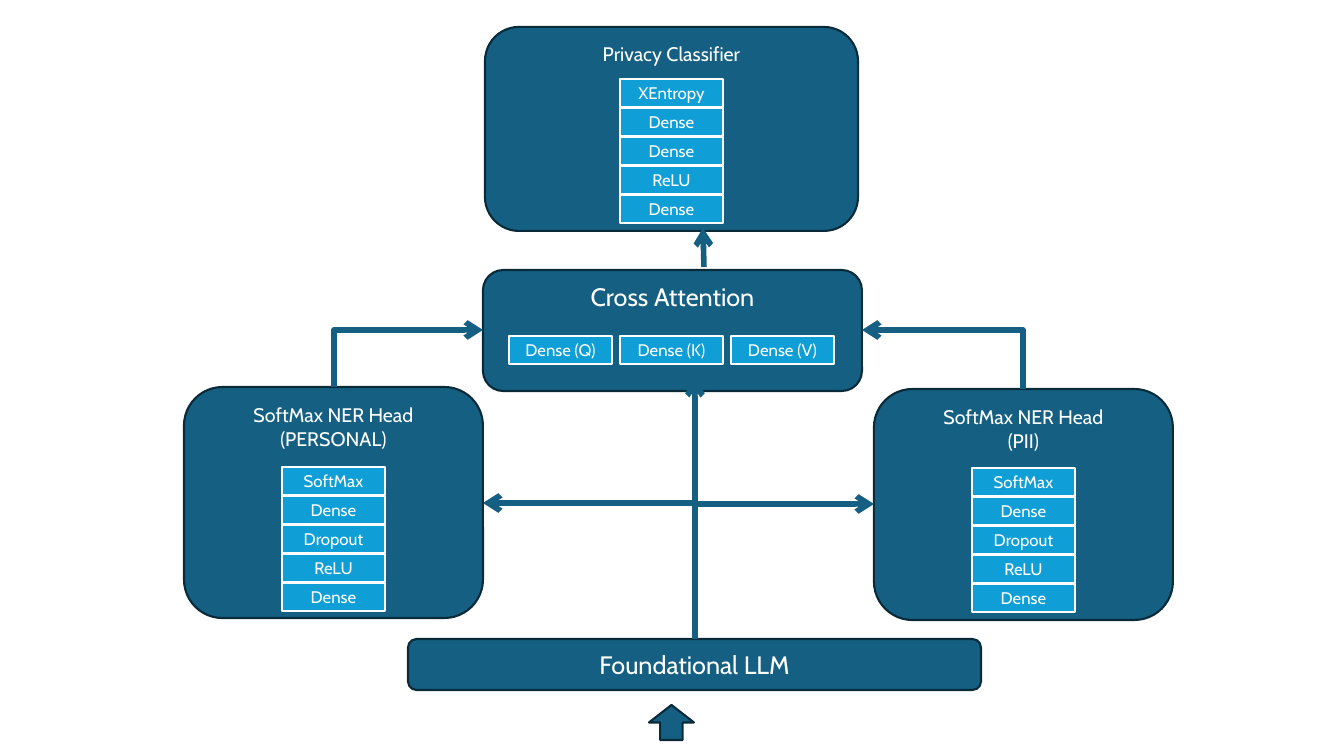
from lxml import etree
from pptx import Presentation
from pptx import util as u
from pptx.dml.color import RGBColor
from pptx.enum import shapes, text
from pptx.oxml.ns import qn

COLORS = {"block": "156082", "edge": "092A39", "layer": "0F9ED5", "white": "FFFFFF"}
FONT = "Cabin"
EMU_PER_PX = 914400 / 100.8
LAYER_SIZE = (103, 28)
DOWN, ACROSS = (0, 29), (111, 0)

# Each block: title lines, title size, box, layers, first layer position, layer step
BLOCKS = [
    (["SoftMax NER Head", "(PERSONAL)"], 14, (184, 387, 299, 231),
     ["SoftMax", "Dense", "Dropout", "ReLU", "Dense"], (282, 467), DOWN),
    (["SoftMax NER Head", "(PII)"], 14, (874, 389, 299, 231),
     ["SoftMax", "Dense", "Dropout", "ReLU", "Dense"], (972, 468), DOWN),
    (["Cross Attention"], 18, (483, 270, 379, 121),
     ["Dense (Q)", "Dense (K)", "Dense (V)"], (509, 336), ACROSS),
    (["Privacy Classifier"], 14, (485, 27, 373, 204),
     ["XEntropy", "Dense", "Dense", "ReLU", "Dense"], (620, 79), DOWN),
]
FOUNDATION = (["Foundational LLM"], 18, (408, 639, 573, 51))
INPUT_ARROW = (649, 705, 45, 35)

# Each arrow: tip, tail
ELBOWS = [
    ((483, 330), (334, 387)),
    ((862, 330), (1023, 389)),
    ((483, 503), (695, 639)),
    ((874, 504), (695, 639)),
]
STRAIGHTS = [((695, 378), (695, 639)), ((703, 228), (704, 267))]


def px(*lengths):
    return [u.Emu(round(length * EMU_PER_PX)) for length in lengths]


def color(name):
    return RGBColor.from_string(COLORS[name])


def add_box(parent, kind, box, fill, edge, width, lines=(), size=12,
            anchor=text.MSO_ANCHOR.MIDDLE):
    shape = parent.add_shape(kind, *px(*box))
    shape.shadow.inherit = False
    shape.fill.solid()
    shape.fill.fore_color.rgb = color(fill)
    shape.line.color.rgb = color(edge)
    shape.line.width = u.Pt(width)
    frame = shape.text_frame
    frame.word_wrap = True
    frame.vertical_anchor = anchor
    for index, line in enumerate(lines):
        paragraph = frame.add_paragraph() if index else frame.paragraphs[0]
        paragraph.text = line
        paragraph.alignment = text.PP_ALIGN.CENTER
        paragraph.font.name = FONT
        paragraph.font.size = u.Pt(size)
        paragraph.font.color.rgb = color("white")


def add_arrow(parent, kind, tip, tail):
    """Run from the tip, so that an elbow leaves it sideways and turns once."""
    connector = parent.add_connector(kind, *px(*tip, *tail))
    connector.line.color.rgb = color("block")
    connector.line.width = u.Pt(4)
    properties = connector._element.spPr
    if kind == shapes.MSO_CONNECTOR.ELBOW:
        properties.find(qn("a:prstGeom")).set("prst", "bentConnector2")
    etree.SubElement(properties.find(qn("a:ln")), qn("a:headEnd"), type="arrow")
    etree.SubElement(properties, qn("a:effectLst"))


presentation = Presentation()
presentation.slide_width, presentation.slide_height = px(1344, 756)
slide = presentation.slides.add_slide(presentation.slide_layouts[6])
ROUNDED = shapes.MSO_SHAPE.ROUNDED_RECTANGLE

# Foundation model
title, size, box = FOUNDATION
add_box(slide.shapes, ROUNDED, box, "block", "edge", 1.5, title, size)

# Blocks with their layers
for title, size, box, layers, (left, top), (step_x, step_y) in BLOCKS:
    group = slide.shapes.add_group_shape().shapes
    add_box(group, ROUNDED, box, "block", "edge", 1.5, title, size,
            text.MSO_ANCHOR.TOP)
    for index, layer in enumerate(layers):
        place = (left + index * step_x, top + index * step_y, *LAYER_SIZE)
        add_box(group, shapes.MSO_SHAPE.RECTANGLE, place, "layer", "white", 2, [layer])

# Input arrow and connections
add_box(slide.shapes, shapes.MSO_SHAPE.UP_ARROW, INPUT_ARROW, "block", "edge", 1.5)
for tip, tail in ELBOWS:
    add_arrow(slide.shapes, shapes.MSO_CONNECTOR.ELBOW, tip, tail)
for tip, tail in STRAIGHTS:
    add_arrow(slide.shapes, shapes.MSO_CONNECTOR.STRAIGHT, tip, tail)

presentation.save("out.pptx")
